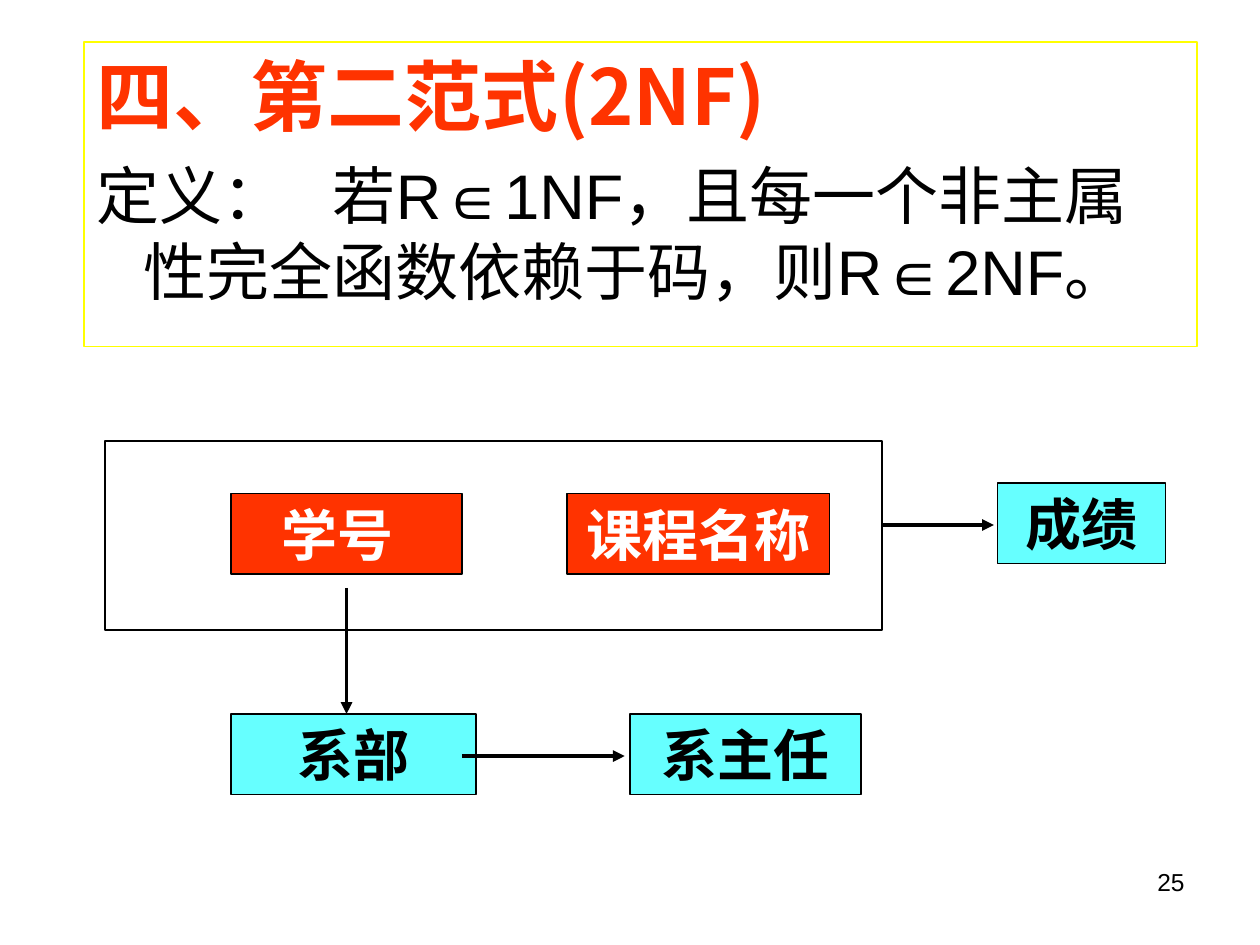
from lxml.etree import SubElement
from pptx import Presentation
from pptx.dml.color import RGBColor
from pptx.enum.shapes import MSO_CONNECTOR as Connector, MSO_SHAPE as Shape
from pptx.enum.text import MSO_ANCHOR as Anchor, MSO_AUTO_SIZE as AutoSize, PP_ALIGN as Align
from pptx.oxml.ns import qn
from pptx.util import Pt

BLACK, WHITE, RED, CYAN, YELLOW = "000000", "FFFFFF", "FF3300", "66FFFF", "FFFF00"


def color(value):
    return RGBColor.from_string(value)


def set_font(paragraph, name, size, fill, bold=False):
    font = paragraph.font
    font.name, font.size, font.bold = name, Pt(size), bold
    font.color.rgb = color(fill)


def paint(shape, fill, line):
    shape.fill.solid()
    shape.fill.fore_color.rgb = color(fill)
    shape.line.color.rgb = color(line)
    shape.line.width = Pt(0.75)


def add_definition(slide, left, top, width, height):
    body = slide.placeholders[1]
    body.left, body.top, body.width, body.height = map(Pt, (left, top, width, height))
    paint(body, WHITE, YELLOW)
    frame = body.text_frame
    frame.auto_size = AutoSize.NONE
    frame.vertical_anchor = Anchor.TOP
    heading, definition = frame.paragraphs[0], frame.add_paragraph()
    heading.text = "四、第二范式(2NF)"
    definition.text = "定义：\t若R∈1NF，且每一个非主属性完全函数依赖于码，则R∈2NF。"
    for paragraph, space in ((heading, 0), (definition, 9)):
        paragraph.space_before = Pt(space)
        properties = paragraph._p.get_or_add_pPr()
        properties.set("marL", str(Pt(27)))
        properties.set("indent", str(Pt(-27)))
        SubElement(properties, qn("a:buNone"))
    tabs = SubElement(definition._p.pPr, qn("a:tabLst"))
    SubElement(tabs, qn("a:tab"), pos=str(Pt(132)), algn="l")
    set_font(heading, "Noto Sans CJK SC", 44, RED, True)
    set_font(definition, "Arial", 36, BLACK)


def add_box(slide, left, top, width, height, fill):
    box = slide.shapes.add_shape(Shape.RECTANGLE, Pt(left), Pt(top), Pt(width), Pt(height))
    box.shadow.inherit = False
    paint(box, fill, BLACK)
    return box


def add_attribute(slide, left, top, width, text, fill, ink, indent=None):
    box = add_box(slide, left, top, width, 46, fill)
    box.text_frame.word_wrap = True
    box.text_frame.vertical_anchor = Anchor.MIDDLE
    paragraph = box.text_frame.paragraphs[0]
    paragraph.text = text
    paragraph.alignment = Align.CENTER
    if indent:
        paragraph.alignment = Align.LEFT
        paragraph._p.get_or_add_pPr().set("marL", str(Pt(indent)))
    set_font(paragraph, "Times New Roman", 32, ink, True)


def add_arrow(slide, *ends):
    arrow = slide.shapes.add_connector(Connector.STRAIGHT, *map(Pt, ends))
    arrow.line.color.rgb = color(BLACK)
    arrow.line.width = Pt(2.25)
    SubElement(arrow.line._get_or_add_ln(), qn("a:tailEnd"), type="triangle")
    SubElement(arrow._element.spPr, qn("a:effectLst"))


def add_dependencies(slide, left, top):
    add_box(slide, left, top, 444, 108, WHITE)
    for x, y, width, text, fill, ink, indent in (
        (72, 30, 132, "学号", RED, WHITE, 22),
        (264, 30, 150, "课程名称", RED, WHITE, None),
        (510, 24, 96, "成绩", CYAN, BLACK, None),
        (72, 156, 140, "系部", CYAN, BLACK, None),
        (300, 156, 132, "系主任", CYAN, BLACK, None),
    ):
        add_attribute(slide, left + x, top + y, width, text, fill, ink, indent)
    for x1, y1, x2, y2 in ((444, 48, 508, 48), (138, 84, 138, 156), (204, 180, 297, 180)):
        add_arrow(slide, left + x1, top + y1, left + x2, top + y2)


def add_page_number(slide, left, top, width, height):
    box = slide.shapes.add_textbox(Pt(left), Pt(top), Pt(width), Pt(height))
    box.text_frame.word_wrap = True
    paragraph = box.text_frame.paragraphs[0]
    paragraph.text = "25"
    paragraph.alignment = Align.RIGHT
    set_font(paragraph, "Arial", 14, BLACK)


def main():
    presentation = Presentation()
    presentation.slide_width, presentation.slide_height = Pt(720), Pt(540)
    slide = presentation.slides.add_slide(presentation.slide_layouts[1])
    title = slide.shapes.title._element
    title.getparent().remove(title)
    add_definition(slide, 48, 24, 636, 174)
    add_dependencies(slide, 60, 252)
    add_page_number(slide, 516, 492, 168, 37.5)
    presentation.save("out.pptx")


if __name__ == "__main__":
    main()
